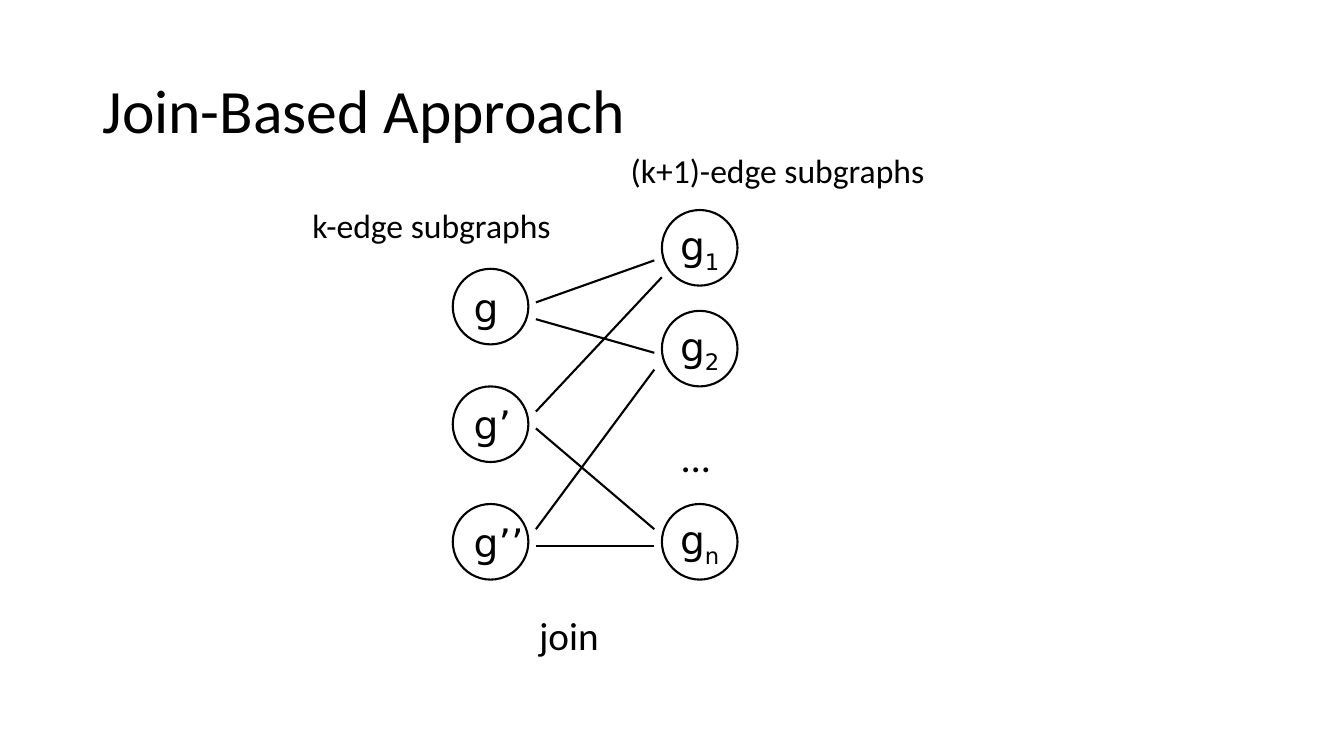
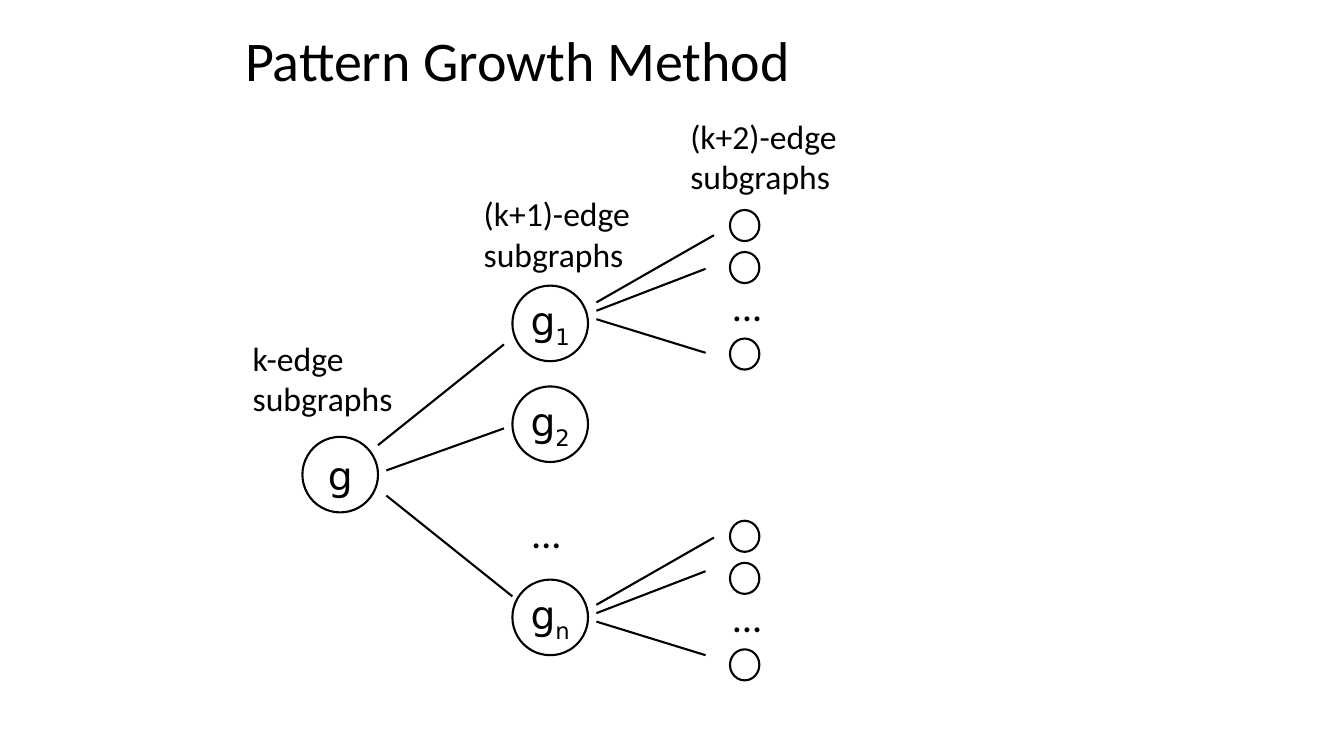
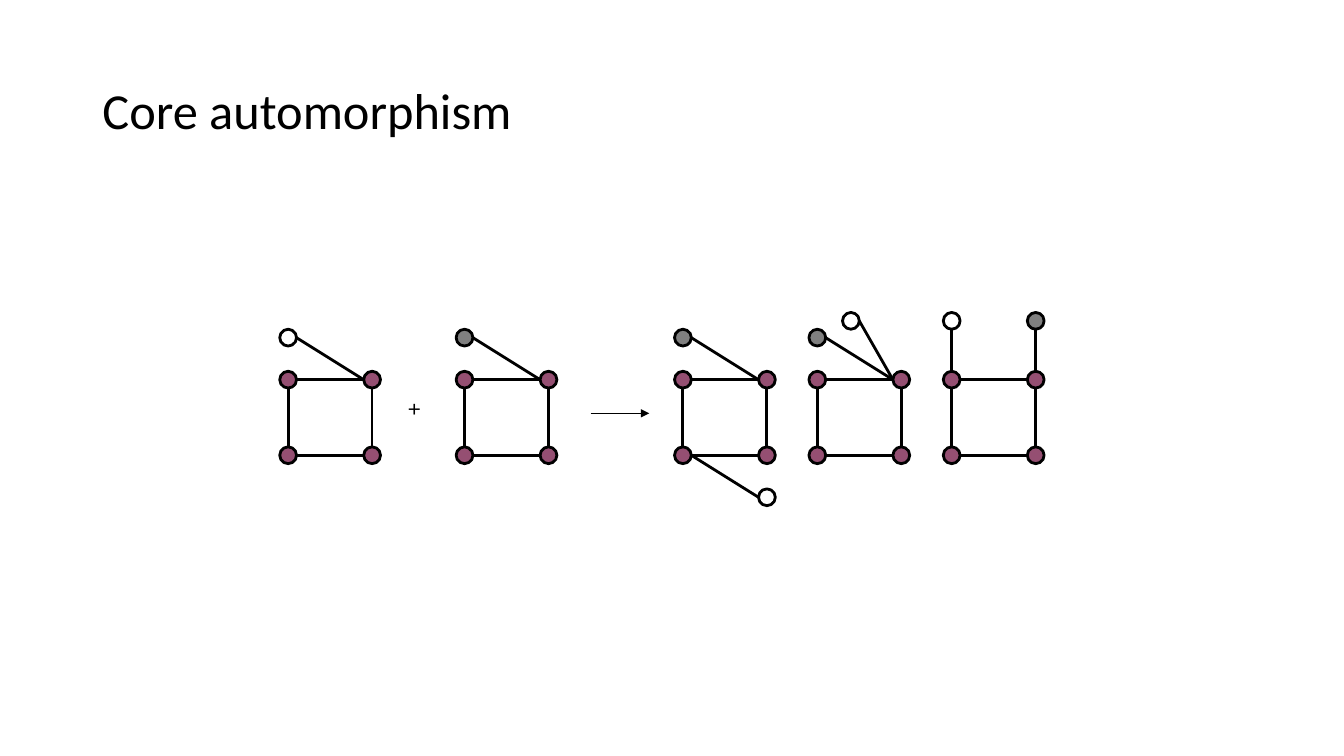
from lxml.etree import SubElement
from pptx import Presentation
from pptx.dml.color import RGBColor
from pptx.enum.shapes import MSO_CONNECTOR, MSO_SHAPE
from pptx.enum.text import MSO_ANCHOR, MSO_AUTO_SIZE, PP_ALIGN
from pptx.oxml.ns import qn
from pptx.util import Emu, Pt

BLACK = RGBColor(0x00, 0x00, 0x00)
WHITE = RGBColor(0xFF, 0xFF, 0xFF)
GRAY = RGBColor(0x80, 0x80, 0x80)
PLUM = RGBColor(0x95, 0x4F, 0x72)

BODY_FONT = "Calibri"
NODE_FONT = "DejaVu Sans"
DOTS_FONT = "Lato"
SIGN_FONT = "Montserrat"

EMU_PER_PX = 7620
NODE = 90
VERTEX = 20
RADIUS = VERTEX // 2
SQUARE = TOP_LEFT, TOP_RIGHT, BOTTOM_LEFT, BOTTOM_RIGHT = (0, 0), (100, 0), (0, 90), (100, 90)


def px(*lengths):
    return [Emu(length * EMU_PER_PX) for length in lengths]


class Deck:
    def __init__(self):
        self.presentation = Presentation()
        self.presentation.slide_width, self.presentation.slide_height = px(1600, 900)
        self.slide = None
        self.shapes = None

    def start_slide(self, title, size, box=(110, 48, 1380, 174)):
        layout = self.presentation.slide_layouts[5]
        self.slide = self.presentation.slides.add_slide(layout)
        self.shapes = self.slide.shapes
        shape = self.shapes.title
        shape.left, shape.top, shape.width, shape.height = px(*box)
        frame = shape.text_frame
        frame.auto_size = MSO_AUTO_SIZE.NONE
        frame.vertical_anchor = MSO_ANCHOR.MIDDLE
        paragraph = self.set_text(frame, title, size, BODY_FONT, PP_ALIGN.LEFT)
        paragraph.line_spacing = 0.9

    def start_group(self):
        self.shapes = self.slide.shapes.add_group_shape().shapes

    def end_group(self):
        self.shapes = self.slide.shapes

    def set_text(self, frame, text, size, font, align):
        paragraph = frame.paragraphs[0]
        paragraph.alignment = align
        paragraph.font.size = Pt(size)
        paragraph.font.name = font
        paragraph.font.color.rgb = BLACK
        paragraph.add_run().text = text
        return paragraph

    def text(self, text, box, size=24, font=BODY_FONT, wrap=False, align=PP_ALIGN.LEFT):
        frame = self.shapes.add_textbox(*px(*box)).text_frame
        frame.word_wrap = wrap
        frame.auto_size = MSO_AUTO_SIZE.SHAPE_TO_FIT_TEXT
        self.set_text(frame, text, size, font, align)

    def ellipse(self, left, top, width, height, fill=WHITE, weight=1.5):
        shape = self.shapes.add_shape(MSO_SHAPE.OVAL, *px(left, top, width, height))
        shape.shadow.inherit = False
        if fill is None:
            shape.fill.background()
        else:
            shape.fill.solid()
            shape.fill.fore_color.rgb = fill
        shape.line.color.rgb = BLACK
        shape.line.width = Pt(weight)
        return shape

    def node(self, left, top, label, subscript="", align=PP_ALIGN.CENTER):
        frame = self.ellipse(left, top, NODE, NODE).text_frame
        frame.word_wrap = False
        frame.vertical_anchor = MSO_ANCHOR.MIDDLE
        paragraph = self.set_text(frame, label, 28, NODE_FONT, align)
        if subscript:
            run = paragraph.add_run()
            run.text = subscript
            run._r.get_or_add_rPr().set("baseline", "-25000")

    def line(self, x1, y1, x2, y2, weight=1.5, arrow=False):
        connector = self.shapes.add_connector(MSO_CONNECTOR.STRAIGHT, *px(x1, y1, x2, y2))
        connector.line.color.rgb = BLACK
        connector.line.width = Pt(weight)
        properties = connector._element.spPr
        if arrow:
            SubElement(properties.find(qn("a:ln")), qn("a:tailEnd"), type="triangle")
        SubElement(properties, qn("a:effectLst"))

    def indexed_nodes(self, left, top):
        for subscript, offset in (("1", 0), ("2", 120), ("n", 350)):
            self.node(left, top + offset, "g", subscript)
        self.text("…", (left + 11, top + 260, 62, 68), 28, DOTS_FONT)

    def small_nodes(self, top):
        self.start_group()
        self.text("…", (860, top + 80, 50, 68), 28, DOTS_FONT, True, PP_ALIGN.CENTER)
        for offset in (0, 50, 153):
            self.ellipse(869, top + offset, 35, 37)
        self.end_group()

    def edge(self, start, end):
        (x1, y1), (x2, y2) = start, end
        if x1 == x2:
            self.line(x1, y1 - RADIUS, x2, y2 + RADIUS, 2)
        else:
            self.line(x1 + RADIUS, y1, x2 - RADIUS, y2, 2)

    def graph(self, left, top, pendants):
        def place(point):
            return left + point[0], top + point[1]

        edges = [(TOP_LEFT, TOP_RIGHT), (BOTTOM_LEFT, BOTTOM_RIGHT),
                 (BOTTOM_LEFT, TOP_LEFT), (BOTTOM_RIGHT, TOP_RIGHT)]
        vertices = [(corner, PLUM) for corner in SQUARE]
        for start, end, vertex, fill in pendants:
            edges.append((start, end))
            vertices.append((vertex, fill))
        for start, end in edges:
            self.edge(place(start), place(end))
        for vertex, fill in vertices:
            x, y = place(vertex)
            self.ellipse(x - RADIUS, y - RADIUS, VERTEX, VERTEX, fill, 2)


def slanted(vertex, fill):
    return vertex, TOP_RIGHT, vertex, fill


def hanging(vertex, fill):
    return BOTTOM_LEFT, vertex, vertex, fill


def upright(corner, fill):
    vertex = corner[0], -70
    return corner, vertex, vertex, fill


def join_slide(deck):
    deck.start_slide("Join-Based Approach", 44)
    for label, top in (("g", 320), ("g’", 460), ("g’’", 600)):
        deck.node(539, top, label, align=PP_ALIGN.LEFT)
    deck.indexed_nodes(788, 250)
    for y1, x2, y2 in ((360, 779, 310), (380, 779, 420), (490, 788, 330),
                       (510, 779, 630), (630, 779, 440), (650, 779, 650)):
        deck.line(638, y1, x2, y2)
    deck.text("k-edge subgraphs", (360, 238, 312, 60))
    deck.text("(k+1)-edge subgraphs", (739, 172, 377, 60))
    deck.text("join", (630, 722, 97, 68), 28)


def growth_slide(deck):
    deck.start_slide("Pattern Growth Method", 40, (280, 30, 1060, 90))
    deck.node(360, 520, "g")
    deck.indexed_nodes(610, 340)
    for ends in ((450, 530, 600, 410), (460, 560, 600, 510), (460, 590, 610, 710)):
        deck.line(*ends)
    for label, box in (("k-edge subgraphs", (289, 396, 224, 109)),
                       ("(k+1)-edge subgraphs", (564, 224, 233, 109)),
                       ("(k+2)-edge subgraphs", (810, 132, 238, 109))):
        deck.text(label, box, wrap=True)
    for nodes_top, fan_top in ((250, 280), (620, 640)):
        deck.small_nodes(nodes_top)
        for start, x2, end in ((80, 850, 0), (90, 840, 40), (100, 840, 140)):
            deck.line(710, fan_top + start, x2, fan_top + end)


def automorphism_slide(deck):
    deck.start_slide("Core automorphism", 36)
    gray_pendant = slanted((0, -50), GRAY)
    for left, pendants in (
        (343, [slanted((0, -50), None)]),
        (553, [gray_pendant]),
        (813, [gray_pendant, hanging((100, 140), None)]),
        (973, [gray_pendant, slanted((40, -70), None)]),
        (1133, [upright(TOP_LEFT, None), upright(TOP_RIGHT, GRAY)]),
    ):
        deck.graph(left, 452, pendants)
    deck.text("+", (473, 462, 44, 48), 18, SIGN_FONT)
    deck.line(703, 492, 773, 492, 0.75, arrow=True)


def main():
    deck = Deck()
    join_slide(deck)
    growth_slide(deck)
    automorphism_slide(deck)
    deck.presentation.save("out.pptx")


if __name__ == "__main__":
    main()
